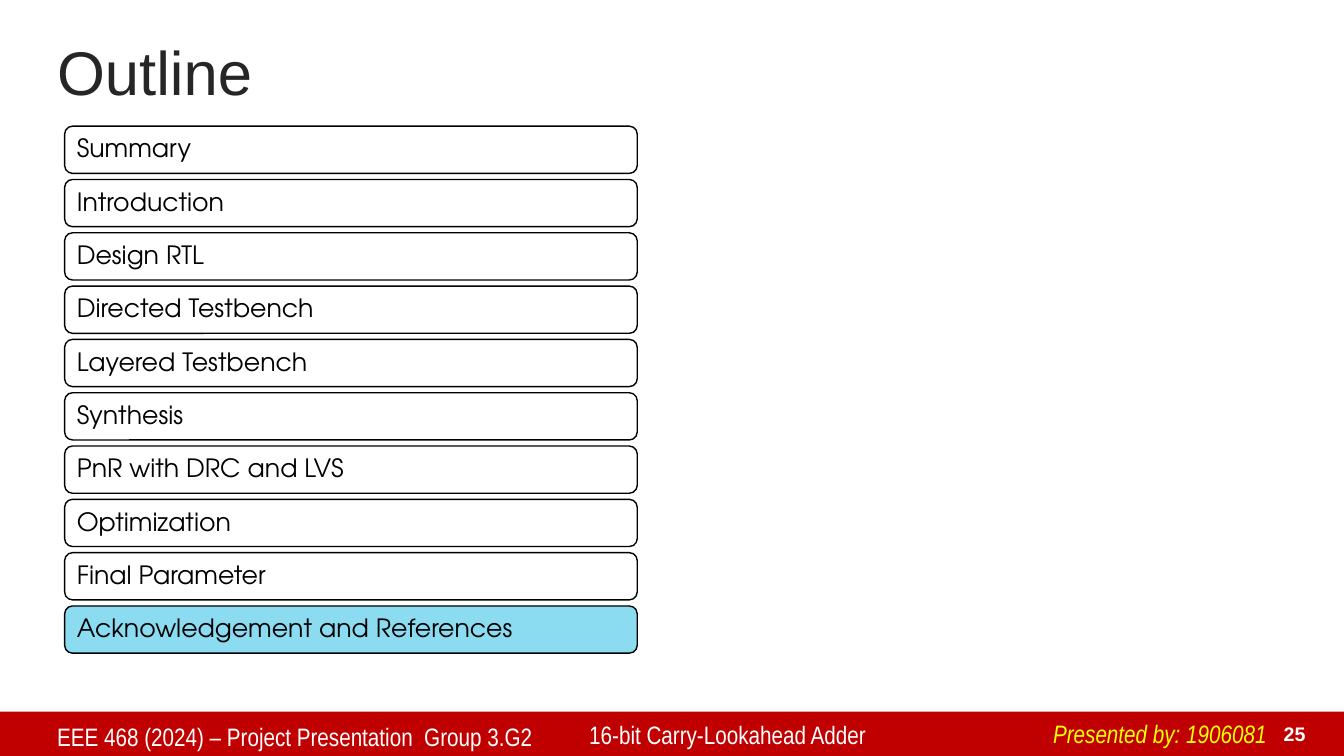
import pptx
import pptx.dml.color
import pptx.enum.shapes
import pptx.enum.text
import pptx.util

Cm = pptx.util.Cm
Pt = pptx.util.Pt
RGBColor = pptx.dml.color.RGBColor
SHAPE = pptx.enum.shapes.MSO_SHAPE
ALIGN = pptx.enum.text.PP_ALIGN
ANCHOR = pptx.enum.text.MSO_ANCHOR

WHITE = RGBColor(0xFF, 0xFF, 0xFF)
BLACK = RGBColor(0x00, 0x00, 0x00)
CHARCOAL = RGBColor(0x26, 0x26, 0x26)
RED = RGBColor(0xC0, 0x00, 0x00)
YELLOW = RGBColor(0xFF, 0xFF, 0x00)
SKY = RGBColor(0x8B, 0xDB, 0xF1)

TOPICS = [
    "Summary", "Introduction", "Design RTL", "Directed Testbench",
    "Layered Testbench", "Synthesis", "PnR with DRC and LVS",
    "Optimization", "Final Parameter", "Acknowledgement and References",
]
CURRENT_TOPIC = "Acknowledgement and References"
FIRST_TOP, LAST_TOP = 3.18, 15.27
ROW_PITCH = (LAST_TOP - FIRST_TOP) / (len(TOPICS) - 1)


class OutlineSlide:
    heading_font = "Arial"
    footer_font = "Arial Narrow"
    topic_font = "TeX Gyre Adventor"

    def __init__(self, slide):
        self.slide = slide

    def set_text(self, shape, words, font, size, color, anchor=ANCHOR.TOP,
                 align=ALIGN.LEFT, wrap=True):
        """Put one styled paragraph into a shape and return it."""
        frame = shape.text_frame
        frame.word_wrap = wrap
        frame.vertical_anchor = anchor
        paragraph = frame.paragraphs[0]
        paragraph.text = words
        paragraph.alignment = align
        paragraph.font.name = font
        paragraph.font.size = Pt(size)
        paragraph.font.color.rgb = color
        return paragraph

    def text(self, left, top, width, height, words, font, size, color, **layout):
        box = self.slide.shapes.add_textbox(Cm(left), Cm(top), Cm(width), Cm(height))
        return self.set_text(box, words, font, size, color, **layout)

    def panel(self, kind, left, top, width, height, fill, outline=None):
        panel = self.slide.shapes.add_shape(kind, Cm(left), Cm(top), Cm(width), Cm(height))
        panel.shadow.inherit = False
        panel.fill.solid()
        panel.fill.fore_color.rgb = fill
        if outline is None:
            panel.line.fill.background()
        else:
            panel.line.color.rgb = outline
            panel.line.width = Pt(1)
        return panel

    def title(self, words):
        title = self.text(1.19, 0.89, 27.94, 2.03, words, self.heading_font, 44,
                          CHARCOAL, anchor=ANCHOR.MIDDLE)
        title.line_spacing = 0.9

    def topic(self, row, words, fill):
        bar = self.panel(SHAPE.ROUNDED_RECTANGLE, 1.63, FIRST_TOP + row * ROW_PITCH,
                         14.43, 1.19, fill, BLACK)
        topic = self.set_text(bar, words, self.topic_font, 18, BLACK, anchor=ANCHOR.MIDDLE)
        topic.line_spacing = 0.9

    def footer(self, course, project, presenter, number):
        self.panel(SHAPE.RECTANGLE, 0, 17.93, 33.87, 1.12, RED)
        self.text(31.7, 18.06, 1.45, 0.86, number, self.heading_font, 14, WHITE,
                  anchor=ANCHOR.BOTTOM, align=ALIGN.RIGHT).font.bold = True
        self.text(1.19, 18.06, 13.41, 1.03, course, self.footer_font, 18, WHITE)
        self.text(14.6, 18.01, 10.77, 1.03, project, self.footer_font, 18, WHITE)
        self.text(26.29, 17.98, 5.97, 1.03, presenter, self.footer_font, 18, YELLOW,
                  wrap=False).font.italic = True


def main():
    deck = pptx.Presentation()
    deck.slide_width = Cm(33.87)
    deck.slide_height = Cm(19.05)
    outline = OutlineSlide(deck.slides.add_slide(deck.slide_layouts[6]))

    outline.footer("EEE 468 (2024) – Project Presentation  Group 3.G2",
                   "16-bit Carry-Lookahead Adder", "Presented by: 1906081", "25")
    outline.title("Outline")
    for row, topic in enumerate(TOPICS):
        outline.topic(row, topic, SKY if topic == CURRENT_TOPIC else WHITE)

    deck.save("out.pptx")


if __name__ == "__main__":
    main()
